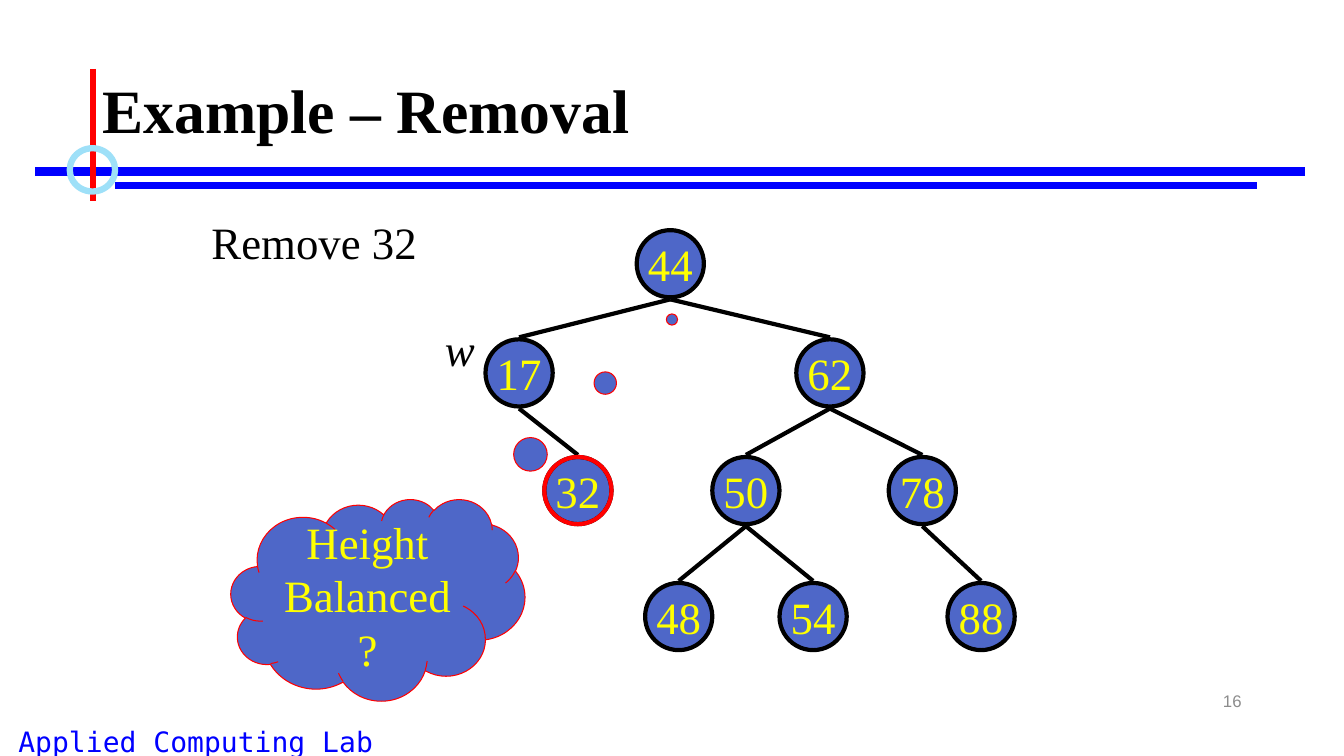
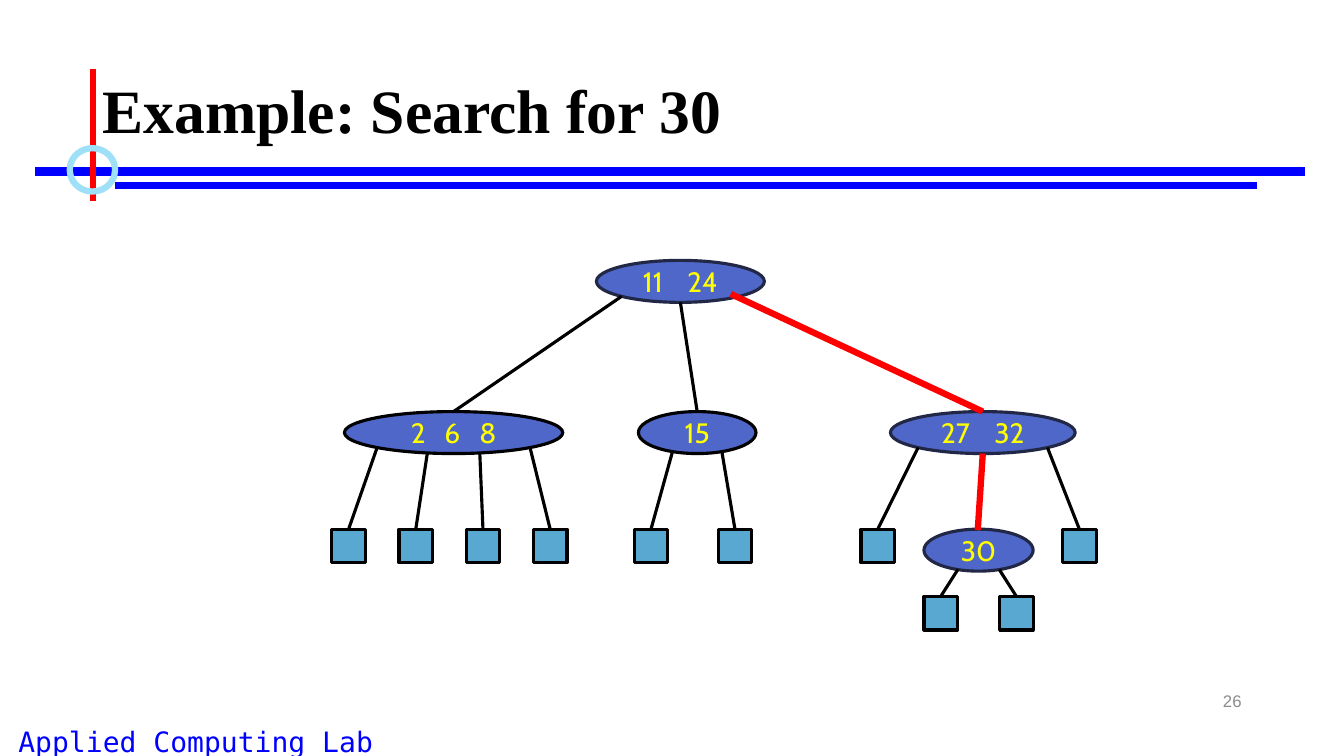
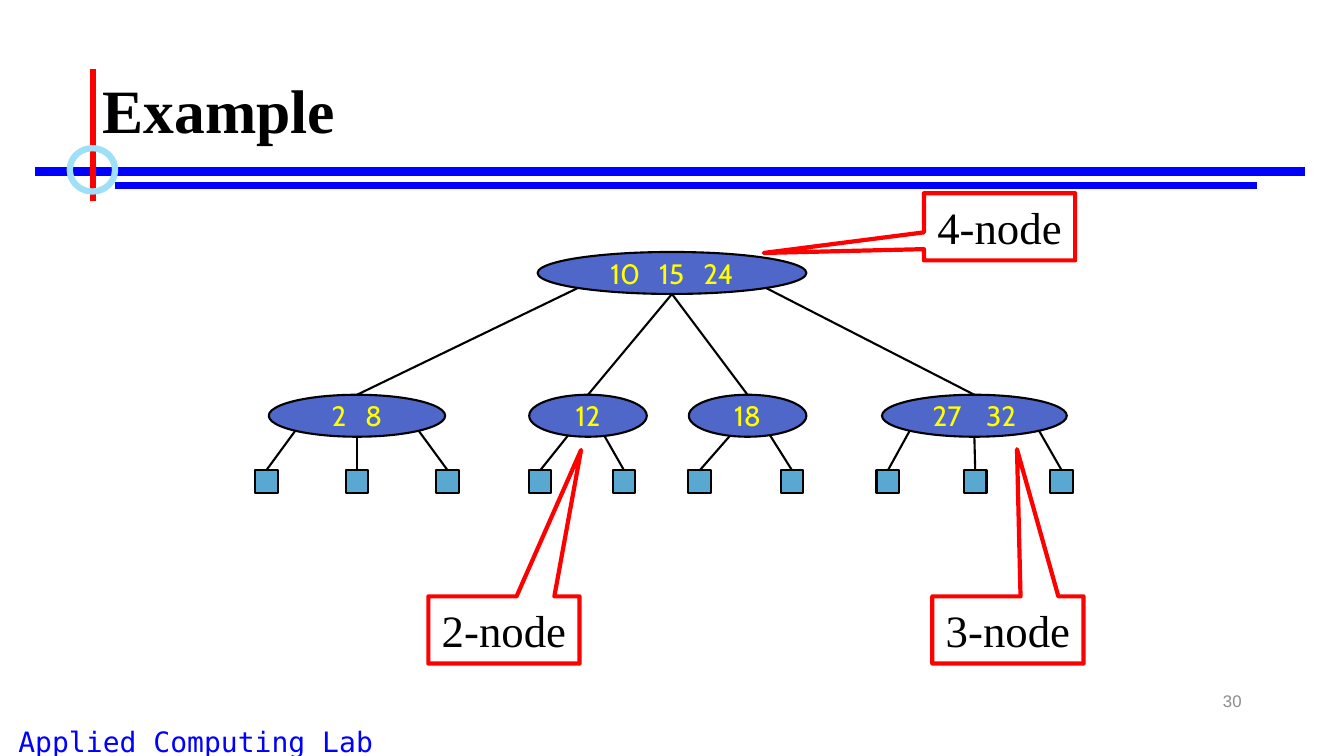
from dataclasses import dataclass
from math import sqrt
from typing import Optional

from lxml.etree import SubElement
from pptx import Presentation
from pptx.dml.color import RGBColor
from pptx.enum.shapes import MSO_CONNECTOR, MSO_SHAPE
from pptx.enum.text import MSO_ANCHOR, PP_ALIGN
from pptx.oxml.ns import qn
from pptx.util import Emu, Inches, Pt

COLS, ROWS = 160, 90
NODE_HEIGHT = 5
CIRCLE = 8
CIRCLE_GAP = 0.24


@dataclass(frozen=True)
class Type:
    font: str
    size: int
    color: str
    bold: bool = False
    italic: bool = False


@dataclass(frozen=True)
class Theme:
    black: str = "000000"
    navy: str = "212745"
    red: str = "FF0000"
    blue: str = "0000FF"
    sky: str = "9EE0F8"
    node: str = "4E67C8"
    leaf: str = "59A8D1"
    title: Type = Type("Times New Roman", 44, "000000", bold=True)
    body: Type = Type("Times New Roman", 32, "000000")
    symbol: Type = Type("Times New Roman", 32, "000000", italic=True)
    value: Type = Type("Times New Roman", 32, "FFFF00")
    key: Type = Type("Cabin", 20, "FFFF00")
    lab: Type = Type("DejaVu Sans Mono", 20, "0000FF")
    number: Type = Type("Arial", 12, "8C8C8C")


T = Theme()


@dataclass(frozen=True)
class Box:
    col: float
    row: float
    width: float
    height: float

    def emu(self) -> tuple:
        return tuple(units(v) for v in (self.col, self.row, self.width, self.height))


@dataclass(frozen=True)
class Rule:
    start: tuple[float, float]
    end: tuple[float, float]
    color: str
    weight: float


@dataclass(frozen=True)
class Circle:
    value: int
    col: float
    row: float
    parent: Optional[int] = None

    @property
    def box(self) -> Box:
        return Box(self.col - CIRCLE / 2, self.row, CIRCLE, CIRCLE)


@dataclass(frozen=True)
class Leaf:
    center: float
    row: float


@dataclass(frozen=True)
class Node:
    keys: str
    col: float
    row: float
    width: float
    children: tuple = ()
    outline: str = T.black
    gap: int = 9

    def rim(self, share: float) -> tuple[float, float]:
        drop = sqrt(1 - (2 * share - 1) ** 2)
        return self.col + share * self.width, self.row + NODE_HEIGHT / 2 * (1 + drop)


@dataclass(frozen=True)
class Callout:
    text: str
    col: float
    row: float
    tip: tuple[float, float]


def units(v: float) -> Emu:
    return Emu(round(v * Inches(1) / 12))


def rgb(color: str) -> RGBColor:
    return RGBColor.from_string(color)


def style(p, kind: Type, align=PP_ALIGN.LEFT) -> None:
    p.alignment = align
    f = p.font
    f.name, f.size, f.bold, f.italic = kind.font, Pt(kind.size), kind.bold, kind.italic
    f.color.rgb = rgb(kind.color)


def add_text(s, box: Box, text: str, kind: Type, align=PP_ALIGN.LEFT,
             anchor=MSO_ANCHOR.TOP, wrap: bool = True) -> None:
    tf = s.shapes.add_textbox(*box.emu()).text_frame
    tf.word_wrap, tf.vertical_anchor = wrap, anchor
    tf.text = text
    style(tf.paragraphs[0], kind, align)


def add_shape(s, preset, box: Box, line: str, weight: float, fill: Optional[str] = None):
    sp = s.shapes.add_shape(preset, *box.emu())
    sp.shadow.inherit = False
    if fill:
        sp.fill.solid()
        sp.fill.fore_color.rgb = rgb(fill)
    else:
        sp.fill.background()
    sp.line.color.rgb = rgb(line)
    sp.line.width = Pt(weight)
    return sp


def label(sp, text: str, kind: Type, wrap: bool = True) -> None:
    tf = sp.text_frame
    tf.word_wrap, tf.vertical_anchor = wrap, MSO_ANCHOR.MIDDLE
    tf.text = text
    style(tf.paragraphs[0], kind, PP_ALIGN.CENTER)


def label_keys(sp, node: Node) -> None:
    tf = sp.text_frame
    tf.word_wrap, tf.vertical_anchor = False, MSO_ANCHOR.MIDDLE
    p = tf.paragraphs[0]
    style(p, T.key, PP_ALIGN.CENTER)
    for i, key in enumerate(node.keys.split()):
        if i:
            r = p.add_run()
            r.text = " "
            r._r.get_or_add_rPr().set("spc", str(node.gap * 100))
        p.add_run().text = key


def add_line(s, rule: Rule):
    ends = [units(v) for v in (*rule.start, *rule.end)]
    line = s.shapes.add_connector(MSO_CONNECTOR.STRAIGHT, *ends)
    line.line.color.rgb = rgb(rule.color)
    line.line.width = Pt(rule.weight)
    SubElement(line._element.spPr, qn("a:effectLst"))
    return line


def add_slide(prs, title: str, number: int):
    s = prs.slides.add_slide(prs.slide_layouts[5])
    sp = s.shapes.title
    sp.left, sp.top, sp.width, sp.height = Box(11, 4.8, 138, 17.4).emu()
    tf = sp.text_frame
    tf.text = title
    tf.word_wrap, tf.vertical_anchor = True, MSO_ANCHOR.MIDDLE
    p = tf.paragraphs[0]
    p.line_spacing = 0.9
    style(p, T.title)

    add_text(s, Box(0, 85.6, 46.6, 4.4), "Applied Computing Lab", T.lab, PP_ALIGN.CENTER)
    for rule in (
        Rule((4.2, 20.4), (155.4, 20.4), T.blue, 6),
        Rule((13.7, 22.1), (149.6, 22.1), T.blue, 4.5),
        Rule((11.05, 8.2), (11.05, 23.9), T.red, 4.5),
    ):
        add_line(s, rule)
    add_shape(s, MSO_SHAPE.OVAL, Box(8.3, 17.65, 5.4, 5.15), T.sky, 4.5)
    add_text(s, Box(113, 81, 36, 4.8), str(number), T.number, PP_ALIGN.RIGHT, MSO_ANCHOR.MIDDLE)
    return s


def draw_node(s, node: Node, weight: float, leaf_size: float) -> None:
    box = Box(node.col, node.row, node.width, NODE_HEIGHT)
    label_keys(add_shape(s, MSO_SHAPE.OVAL, box, node.outline, weight, T.node), node)
    for share, child in node.children:
        start = node.rim(share)
        if isinstance(child, Leaf):
            square = Box(child.center - leaf_size / 2, child.row, leaf_size, leaf_size)
            sp = add_shape(s, MSO_SHAPE.RECTANGLE, square, T.black, weight, T.leaf)
            edge = add_line(s, Rule(start, (child.center, child.row), T.black, weight))
            edge.end_connect(sp, 0)
        else:
            top = (child.col + child.width / 2, child.row)
            add_line(s, Rule(start, top, child.outline, weight))
            draw_node(s, child, weight, leaf_size)


def leaves(row: float, *pairs: tuple[float, float]) -> tuple:
    return tuple((share, Leaf(center, row)) for share, center in pairs)


def removal_slide(prs) -> None:
    s = add_slide(prs, "Example – Removal", 16)
    circles = {c.value: c for c in (
        Circle(44, 79.8, 27.4),
        Circle(17, 61.8, 40.4, 44),
        Circle(62, 98.8, 40.4, 44),
        Circle(32, 68.8, 54.4, 17),
        Circle(50, 88.8, 54.4, 62),
        Circle(78, 109.8, 54.4, 62),
        Circle(48, 80.8, 69.4, 50),
        Circle(54, 96.8, 69.4, 50),
        Circle(88, 116.8, 69.4, 78),
    )}
    for c in circles.values():
        label(add_shape(s, MSO_SHAPE.OVAL, c.box, T.black, 3, T.node), str(c.value), T.value, False)
        if c.parent:
            up = circles[c.parent]
            add_line(s, Rule((up.col, up.row + CIRCLE + CIRCLE_GAP),
                             (c.col, c.row - CIRCLE_GAP), T.black, 3))
    add_shape(s, MSO_SHAPE.OVAL, circles[32].box, T.red, 3)
    add_text(s, Box(24, 25, 26.9, 7.5), "Remove 32", T.body, wrap=False)
    cloud = add_shape(s, MSO_SHAPE.CLOUD_CALLOUT, Box(27.5, 59.4, 35, 24), T.red, 0.75, T.node)
    cloud.adjustments[0], cloud.adjustments[1] = 1, -1.39
    label(cloud, "Height Balanced?", T.value)
    add_text(s, Box(51.8, 37.7, 6, 7.5), "w", T.symbol, wrap=False)


def search_slide(prs) -> None:
    s = add_slide(prs, "Example: Search for 30", 26)
    found = Node("30", 110, 63, 13, leaves(71, (0.31, 112), (0.69, 121)), T.navy)
    right = Node("27 32", 106, 49, 22, (
        *leaves(63, (0.15, 104.5), (0.85, 128.5)), (0.5, found)), T.navy, 13)
    middle = Node("15", 76, 49, 14, leaves(63, (0.29, 77.5), (0.71, 87.5)))
    left = Node("2 6 8", 41, 49, 26, leaves(
        63, (0.15, 41.5), (0.38, 49.5), (0.62, 57.5), (0.85, 65.5)))
    root = Node("11 24", 71, 31, 20, (
        (0.15, left), (0.5, middle), (0.85, right)), T.navy, 13)
    draw_node(s, root, 2.25, 4)
    for rule in (
        Rule((87, 35), (117, 49), T.red, 4.5),
        Rule((117, 54), (116.4, 63.1), T.red, 4.5),
    ):
        add_line(s, rule)


def node_kinds_slide(prs) -> None:
    s = add_slide(prs, "Example", 30)
    row = 56
    root = Node("10 15 24", 64, 30, 32, (
        (0.15, Node("2 8", 32, 47, 21, leaves(row, (0.15, 31.7), (0.5, 42.5), (0.85, 53.3)))),
        (0.5, Node("12", 63, 47, 14, leaves(row, (0.33, 64.3), (0.64, 74.3)))),
        (0.5, Node("18", 82, 47, 14, leaves(row, (0.35, 83.3), (0.69, 94.3)))),
        (0.85, Node("27 32", 105, 47, 22, leaves(
            row, (0.15, 105.7), (0.5, 116.1), (0.85, 126.4)), gap=13)),
    ))
    draw_node(s, root, 1.5, 2.7)
    for c in (
        Callout("4-node", 110, 23, (-1.56, 0.39)),
        Callout("3-node", 111, 71, (0.06, -2.69)),
        Callout("2-node", 51, 71, (0.51, -2.68)),
    ):
        sp = add_shape(s, MSO_SHAPE.RECTANGULAR_CALLOUT, Box(c.col, c.row, 18, 8), T.red, 3)
        sp.adjustments[0], sp.adjustments[1] = c.tip
        label(sp, c.text, T.body)


def main() -> None:
    prs = Presentation()
    prs.slide_width, prs.slide_height = units(COLS), units(ROWS)
    removal_slide(prs)
    search_slide(prs)
    node_kinds_slide(prs)
    prs.save("out.pptx")


if __name__ == "__main__":
    main()
